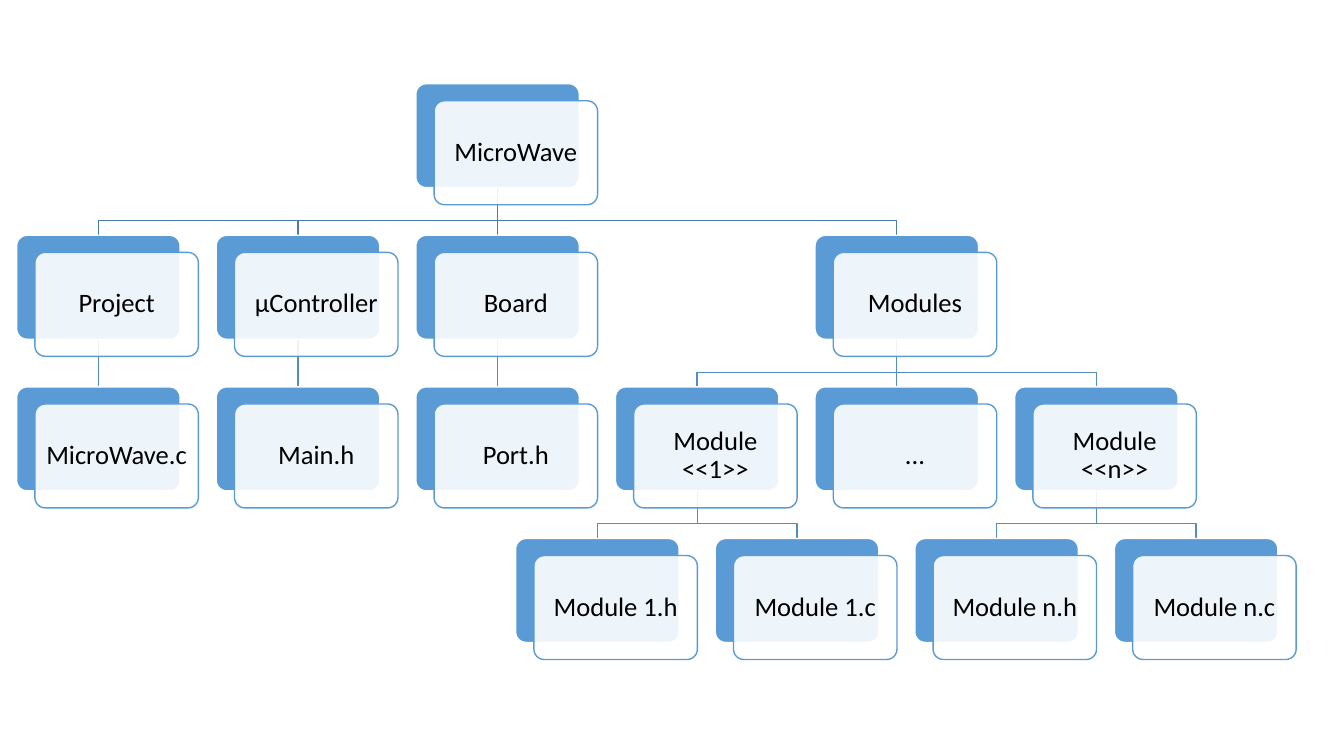
from lxml import etree
from pptx import Presentation
from pptx import util as u
from pptx.dml.color import RGBColor
from pptx.enum import shapes, text
from pptx.oxml import ns

THEME = {
    "blue": RGBColor(0x5B, 0x9B, 0xD5),
    "white": RGBColor(0xFF, 0xFF, 0xFF),
    "text": RGBColor(0, 0, 0),
    "top_line": RGBColor(0x49, 0x7C, 0xAB),
    "lower_line": RGBColor(0x53, 0x8D, 0xC1),
    "font": "Calibri",
    "size": u.Pt(19),
    "line_width": u.Pt(1),
    "card_opacity": 90,
}

# Grid of the chart, in centimetres
LEFT, TOP = 0.42, 2.11
COLUMN_STEP, ROW_STEP = 5.03, 3.82
CARD_WIDTH, CARD_HEIGHT = 4.12, 2.62
SHIFT_X, SHIFT_Y = 0.46, 0.43
BEND_DROP = 0.83

# Label: (column, row, parent)
TREE = {
    "MicroWave": (2, 0, None),
    "Project": (0, 1, "MicroWave"),
    "µController": (1, 1, "MicroWave"),
    "Board": (2, 1, "MicroWave"),
    "Modules": (4, 1, "MicroWave"),
    "MicroWave.c": (0, 2, "Project"),
    "Main.h": (1, 2, "µController"),
    "Port.h": (2, 2, "Board"),
    "Module <<1>>": (3, 2, "Modules"),
    "...": (4, 2, "Modules"),
    "Module <<n>>": (5, 2, "Modules"),
    "Module 1.h": (2.5, 3, "Module <<1>>"),
    "Module 1.c": (3.5, 3, "Module <<1>>"),
    "Module n.h": (4.5, 3, "Module <<n>>"),
    "Module n.c": (5.5, 3, "Module <<n>>"),
}

FRAME_FORMAT = {
    "word_wrap": True,
    "vertical_anchor": text.MSO_ANCHOR.MIDDLE,
    "margin_left": u.Cm(0.19),
    "margin_right": u.Cm(0.19),
    "margin_top": u.Cm(0.2),
    "margin_bottom": u.Cm(0.2),
}
PARAGRAPH_FORMAT = {"alignment": text.PP_ALIGN.CENTER, "line_spacing": 0.9}
FONT_FORMAT = {"name": THEME["font"], "size": THEME["size"]}


def corner(label):
    column, row, _ = TREE[label]
    return LEFT + column * COLUMN_STEP, TOP + row * ROW_STEP


def add_card(x, y, fill, line):
    shape = slide.shapes.add_shape(
        shapes.MSO_SHAPE.ROUNDED_RECTANGLE,
        u.Cm(x), u.Cm(y), u.Cm(CARD_WIDTH), u.Cm(CARD_HEIGHT))
    shape.adjustments[0] = 0.1
    shape.shadow.inherit = False
    shape.fill.solid()
    shape.fill.fore_color.rgb = fill
    shape.line.color.rgb = line
    shape.line.width = THEME["line_width"]
    return shape


# Slide
presentation = Presentation()
presentation.slide_width = u.Cm(33.87)
presentation.slide_height = u.Cm(19.05)
slide = presentation.slides.add_slide(presentation.slide_layouts[6])

# Lines from each parent to its children, behind the cards
for label, (column, row, parent) in TREE.items():
    if parent is None:
        continue
    child_x, child_y = corner(label)
    parent_x, parent_y = corner(parent)
    start_x, end_x = (u.Cm(x + CARD_WIDTH / 2) for x in (parent_x, child_x))
    start_y, end_y = u.Cm(parent_y + CARD_HEIGHT), u.Cm(child_y)
    if start_x == end_x:
        branch = slide.shapes.add_connector(
            shapes.MSO_CONNECTOR.STRAIGHT, start_x, start_y, end_x, end_y)
    else:
        bend_y = start_y + u.Cm(BEND_DROP)
        builder = slide.shapes.build_freeform(start_x, start_y)
        builder.add_line_segments(
            [(start_x, bend_y), (end_x, bend_y), (end_x, end_y)], close=False)
        branch = builder.convert_to_shape()
        branch.fill.background()
    branch.line.color.rgb = THEME["top_line" if row == 1 else "lower_line"]
    branch.line.width = THEME["line_width"]
    etree.SubElement(branch._element.spPr, ns.qn("a:effectLst"))

# Cards: a blue back and a translucent front with the label
for label in TREE:
    x, y = corner(label)
    add_card(x, y, THEME["blue"], THEME["white"])
    front = add_card(x + SHIFT_X, y + SHIFT_Y, THEME["white"], THEME["blue"])
    color = front._element.spPr.find(ns.qn("a:solidFill"))[0]
    etree.SubElement(color, ns.qn("a:alpha"), val=str(THEME["card_opacity"] * 1000))

    frame = front.text_frame
    frame.text = label
    paragraph = frame.paragraphs[0]
    font = paragraph.runs[0].font
    font.color.rgb = THEME["text"]
    for target, values in ((frame, FRAME_FORMAT), (paragraph, PARAGRAPH_FORMAT),
                           (font, FONT_FORMAT)):
        for name, value in values.items():
            setattr(target, name, value)

presentation.save("out.pptx")
